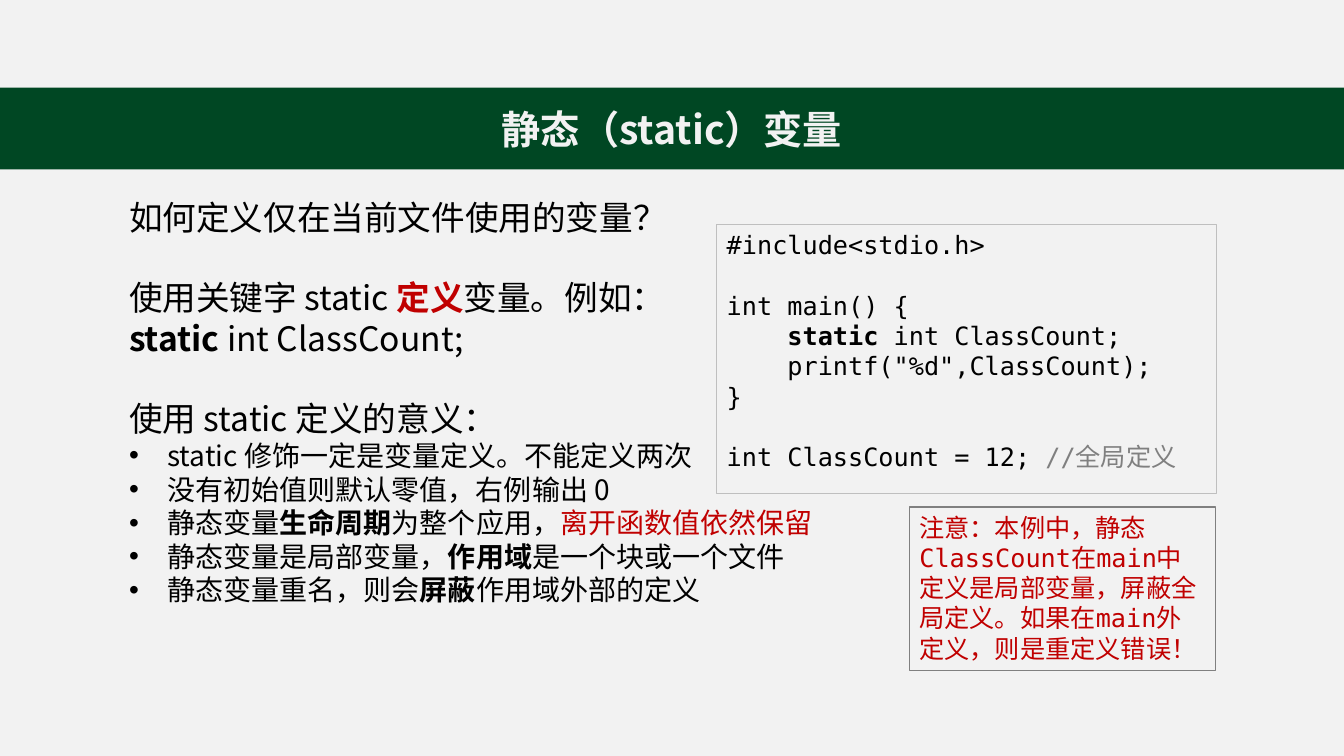
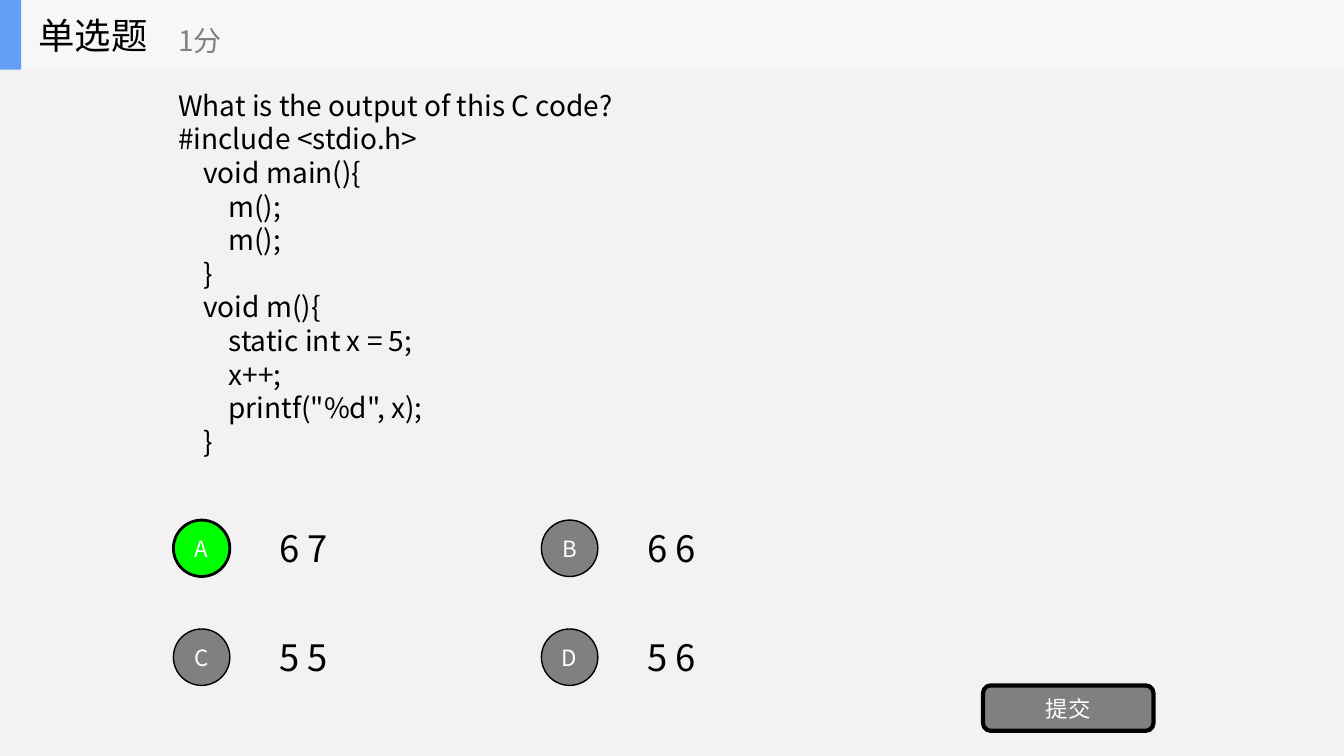
"""Build two lesson slides on static variables in C."""
from pptx import Presentation
from pptx.dml.color import RGBColor
from pptx.enum.shapes import MSO_SHAPE
from pptx.enum.text import MSO_ANCHOR, MSO_AUTO_SIZE, PP_ALIGN
from pptx.oxml.ns import qn
from pptx.util import Inches, Pt

HUES = {
    "page": "F2F2F2", "green": "004723", "ink": "000000", "red": "C00000",
    "grey": "808080", "pale": "BFBFBF", "white": "FFFFFF", "lime": "00FF00",
    "head": "F6F7F8", "blue": "639EF4",
}
SANS = "Noto Sans CJK SC"
MONO = "DejaVu Sans Mono"
LEAD = 1.2
HANG = Inches(0.38)
BOLD = {"bold": True}
RED = {"hue": "red"}
CODE = {"size": 18, "face": MONO}
WIDE = 13.33


def hue(name):
    return RGBColor.from_string(HUES[name])


def put(thing, **vals):
    for key, val in vals.items():
        setattr(thing, key, val)


def place(shape, box):
    put(shape, **dict(zip(("left", "top", "width", "height"), map(Inches, box))))


def paint(shape, fill=None, edge=None, width=1):
    if fill:
        shape.fill.solid()
        shape.fill.fore_color.rgb = hue(fill)
    else:
        shape.fill.background()
    if edge:
        put(shape.line, width=Pt(width))
        shape.line.color.rgb = hue(edge)
    else:
        shape.line.fill.background()


def row(*parts, gap=False, dot=False, **look):
    return {"parts": parts, "gap": gap, "dot": dot, "look": look}


def add_run(para, part, look):
    text, own = (part, {}) if isinstance(part, str) else part
    look = {"size": 18, "hue": "ink", "face": SANS, "bold": False, **look, **own}
    run = para.add_run()
    run.text = text
    put(run.font, size=Pt(look["size"]), name=look["face"], bold=look["bold"])
    run.font.color.rgb = hue(look["hue"])
    east = run.font._element.makeelement(qn("a:ea"), {"typeface": SANS})
    run.font._element.find(qn("a:latin")).addnext(east)
    return look["size"]


def set_dot(para, dot):
    props = para._p.get_or_add_pPr()
    props.set("marL", str(HANG if dot else 0))
    props.set("indent", str(-HANG if dot else 0))
    kind, vals = ("a:buChar", {"char": "•"}) if dot else ("a:buNone", {})
    props.append(props.makeelement(qn(kind), vals))


def write(shape, rows, align=PP_ALIGN.LEFT, **vals):
    frame = shape.text_frame
    put(frame, **{"word_wrap": True, "auto_size": MSO_AUTO_SIZE.NONE,
                  "vertical_anchor": MSO_ANCHOR.MIDDLE, **vals})
    for pos, item in enumerate(rows):
        para = frame.add_paragraph() if pos else frame.paragraphs[0]
        set_dot(para, item["dot"])
        size = max([add_run(para, part, item["look"]) for part in item["parts"]])
        lead = Pt(size * LEAD)
        put(para, alignment=align, line_spacing=lead,
            space_before=lead if item["gap"] else Pt(0), space_after=Pt(0))


def add_title(slide, text, box, fill, align, look, **vals):
    title = slide.shapes.title
    place(title, box)
    paint(title, fill)
    write(title, [row(text, **look)], align, **vals)


def add_text(slide, box, rows, **vals):
    write(slide.shapes.add_textbox(*map(Inches, box)), rows, **vals)


def add_form(slide, kind, box, fill=None, edge=None, width=1):
    shape = slide.shapes.add_shape(kind, *map(Inches, box))
    shape.shadow.inherit = False
    paint(shape, fill, edge, width)
    return shape


def add_frame(slide, box, edge, rows, **vals):
    shape = add_form(slide, MSO_SHAPE.RECTANGLE, box, None, edge, 0.75)
    write(shape, rows, vertical_anchor=MSO_ANCHOR.TOP, **vals)


def add_button(slide, kind, box, text, fill="grey", width=1):
    shape = add_form(slide, kind, box, fill, "ink", width)
    edges = dict.fromkeys(("margin_left", "margin_right", "margin_top", "margin_bottom"), 0)
    write(shape, [row(text, size=16, hue="white")], PP_ALIGN.CENTER, **edges)


def add_choice(slide, pos, mark, text, right=False):
    left = 1.72 + pos % 2 * 3.65
    top = 5.16 + pos // 2 * 1.08
    fill, width = ("lime", 2) if right else ("grey", 1)
    add_button(slide, MSO_SHAPE.OVAL, (left, top, 0.56, 0.56), mark, fill, width)
    add_text(slide, (left + 0.95, top + 0.01, 0.73, 0.54), [row(text, size=26)])


def build_lesson(deck):
    slide = deck.slides.add_slide(deck.slide_layouts[1])
    add_title(slide, "静态（static）变量", (0, 0.87, WIDE, 0.81), "green",
              PP_ALIGN.CENTER, {"size": 28, "hue": "page", "bold": True})
    lead = {"size": 24}
    item = {"size": 20, "dot": True}
    body = slide.placeholders[1]
    place(body, (1.18, 1.9, 11.1, 4.96))
    write(body, [
        row("如何定义仅在当前文件使用的变量？", **lead),
        row("使用关键字 static ", ("定义", {**BOLD, **RED}), "变量。例如：", gap=True, **lead),
        row(("static", BOLD), " int ClassCount;", **lead),
        row("使用 static 定义的意义：", gap=True, **lead),
        row("static 修饰一定是变量定义。不能定义两次", **item),
        row("没有初始值则默认零值，右例输出 0", **item),
        row("静态变量", ("生命周期", BOLD), "为整个应用，", ("离开函数值依然保留", RED), **item),
        row("静态变量是局部变量，", ("作用域", BOLD), "是一个块或一个文件", **item),
        row("静态变量重名，则会", ("屏蔽", BOLD), "作用域外部的定义", **item),
    ], vertical_anchor=MSO_ANCHOR.TOP)
    add_frame(slide, (7.11, 2.23, 4.96, 2.67), "pale", [
        row("#include<stdio.h>", **CODE),
        row("int main() {", gap=True, **CODE),
        row("    ", ("static", BOLD), " int ClassCount;", **CODE),
        row('    printf("%d",ClassCount);', **CODE),
        row("}", **CODE),
        row("int ClassCount = 12; ", ("//全局定义", {"hue": "grey"}), gap=True, **CODE),
    ], word_wrap=False)
    add_frame(slide, (9.02, 5.03, 3.04, 1.62), "grey", [
        row("注意：本例中，静态ClassCount在main中定义是局部变量，屏蔽全局定义。"
            "如果在main外定义，则是重定义错误！", **CODE, **RED),
    ])


def build_quiz(deck):
    slide = deck.slides.add_slide(deck.slide_layouts[5])
    add_title(slide, "单选题", (0, 0, WIDE, 0.69), "head", PP_ALIGN.LEFT,
              {"size": 26}, margin_left=Inches(0.38))
    add_form(slide, MSO_SHAPE.RECTANGLE, (0, 0, 0.21, 0.69), "blue")
    add_text(slide, (1.67, 0.12, 2.5, 0.56), [row("1分", size=20, hue="grey")])
    lines = (
        "What is the output of this C code?",
        "#include <stdio.h>",
        "    void main(){",
        "        m();",
        "        m();",
        "    }",
        "    void m(){",
        "        static int x = 5;",
        "        x++;",
        '        printf("%d", x);',
        "    }",
    )
    add_text(slide, (1.67, 0.81, 5.38, 3.8), [row(line, size=20) for line in lines])
    for pos, (mark, text) in enumerate(zip("ABCD", ("6 7", "6 6", "5 5", "5 6"))):
        add_choice(slide, pos, mark, text, mark == "A")
    add_button(slide, MSO_SHAPE.ROUNDED_RECTANGLE, (9.75, 6.8, 1.69, 0.45), "提交", width=3)


def main():
    deck = Presentation()
    put(deck, slide_width=Inches(WIDE), slide_height=Inches(7.5))
    back = deck.slide_master.background.fill
    back.solid()
    back.fore_color.rgb = hue("page")
    build_lesson(deck)
    build_quiz(deck)
    deck.save("out.pptx")


if __name__ == "__main__":
    main()
